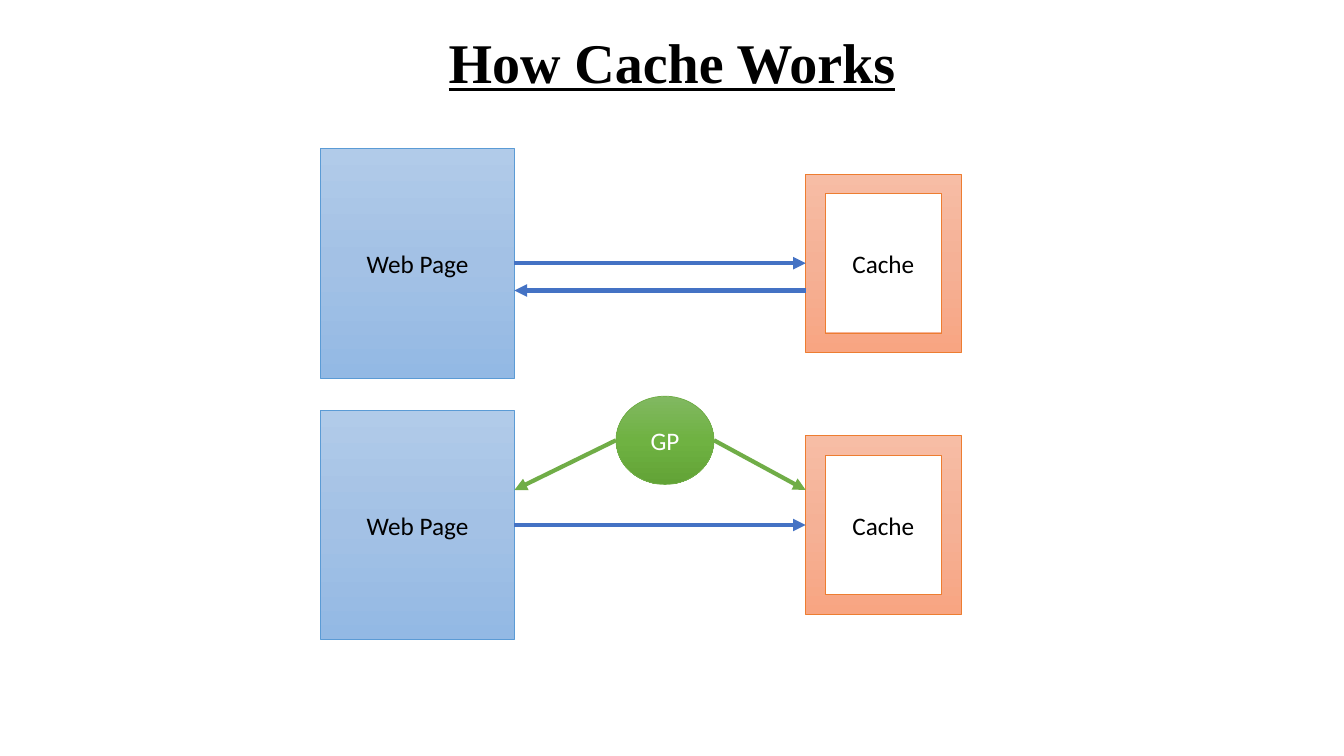
from copy import deepcopy
from dataclasses import dataclass

from pptx import Presentation
from pptx.dml.color import RGBColor
from pptx.enum.shapes import MSO_CONNECTOR, MSO_SHAPE
from pptx.enum.text import MSO_ANCHOR, PP_ALIGN
from pptx.oxml.ns import qn
from pptx.util import Pt

STRAIGHT = MSO_CONNECTOR.STRAIGHT
RECT, FRAME, OVAL = MSO_SHAPE.RECTANGLE, MSO_SHAPE.FRAME, MSO_SHAPE.OVAL
MIDDLE, CENTER = MSO_ANCHOR.MIDDLE, PP_ALIGN.CENTER
LEFT, RIGHT = 1, 3


@dataclass(frozen=True)
class Theme:
    black: str = "000000"
    white: str = "FFFFFF"
    arrow: str = "4472C4"
    green: str = "70AD47"
    # Each look: three gradient colours, then the outline
    page: tuple = ("B1CBE9", "A3C1E5", "93B9E4", "5B9BD5")
    cache: tuple = ("F7BDA5", "F5B196", "F8A582", "ED7D31")
    agent: tuple = ("81B861", "6FB242", "62A336", "70AD47")
    head: str = "Times New Roman"
    body: str = "Calibri"
    large: int = 40
    small: int = 18
    edge: float = 0.5
    stroke: int = 3


THEME = Theme()


def rgb(code):
    return RGBColor.from_string(code)


def write(frame, text, font, size, color):
    frame.word_wrap = True
    frame.vertical_anchor = MIDDLE
    para = frame.paragraphs[0]
    para.text = text
    para.alignment = CENTER
    para.font.name = font
    para.font.size = Pt(size)
    para.font.color.rgb = rgb(color)
    return para


def add_node(slide, kind, box, look, text, color=THEME.black):
    node = slide.shapes.add_shape(kind, *map(Pt, box))
    node.shadow.inherit = False
    node.fill.gradient()
    node.fill.gradient_angle = 270
    # A third stop makes room for the middle colour
    stops = node._element.spPr.find(".//" + qn("a:gsLst"))
    stops.insert(1, deepcopy(stops[0]))
    for i, stop in enumerate(node.fill.gradient_stops):
        stop.position = i / 2
        stop.color.rgb = rgb(look[i])
    node.line.color.rgb = rgb(look[3])
    node.line.width = Pt(THEME.edge)
    write(node.text_frame, text, THEME.body, THEME.small, color)
    return node


def add_arrow(slide, start, end, color):
    arrow = slide.shapes.add_connector(STRAIGHT, *map(Pt, start + end))
    arrow.line.color.rgb = rgb(color)
    arrow.line.width = Pt(THEME.stroke)
    line = arrow.line._get_or_add_ln()
    line.append(line.makeelement(qn("a:tailEnd"), {"type": "triangle"}))
    props = arrow._element.spPr
    props.append(props.makeelement(qn("a:effectLst"), {}))
    return arrow


def add_title(slide, box):
    title = slide.shapes.add_textbox(*map(Pt, box))
    para = write(title.text_frame, "How Cache Works", THEME.head,
                 THEME.large, THEME.black)
    para.font.bold = True
    para.font.underline = True
    para.line_spacing = 0.9


def add_row(slide, box):
    """Web page and cache with the request arrow; returns the gap's ends."""
    x, y, w, h = box
    page_w, cache_w, cache_h = 138.5, 111, 127.5
    near, far, mid = x + page_w, x + w - cache_w, y + h / 2
    page = add_node(slide, RECT, (x, y, page_w, h), THEME.page, "Web Page")
    cache = add_node(slide, FRAME, (far, mid - cache_h / 2, cache_w, cache_h),
                     THEME.cache, "Cache")
    ask = add_arrow(slide, (near, mid), (far, mid), THEME.arrow)
    ask.begin_connect(page, RIGHT)
    ask.end_connect(cache, LEFT)
    return near, far, mid


def add_reply(slide, gap):
    near, far, mid = gap
    add_arrow(slide, (far, mid + 19.5), (near, mid + 19.5), THEME.arrow)


def add_agent(slide, gap):
    near, far, mid = gap
    w, h = 70, 63
    x, y = near + 72.5, mid - 92
    side, foot = y + h / 2, mid - 25
    add_arrow(slide, (x, side), (near, foot), THEME.green)
    add_node(slide, OVAL, (x, y, w, h), THEME.agent, "GP", THEME.white)
    add_arrow(slide, (x + w, side), (far, foot), THEME.green)


def main():
    deck = Presentation()
    deck.slide_width, deck.slide_height = Pt(960), Pt(540)
    slide = deck.slides.add_slide(deck.slide_layouts[6])
    add_title(slide, (66, 9.5, 828, 74))
    # Two rows of equal size, one pitch apart
    x, y, w, h, pitch = 229, 106, 457.5, 164, 187
    add_reply(slide, add_row(slide, (x, y, w, h)))
    add_agent(slide, add_row(slide, (x, y + pitch, w, h)))
    deck.save("out.pptx")


if __name__ == "__main__":
    main()
